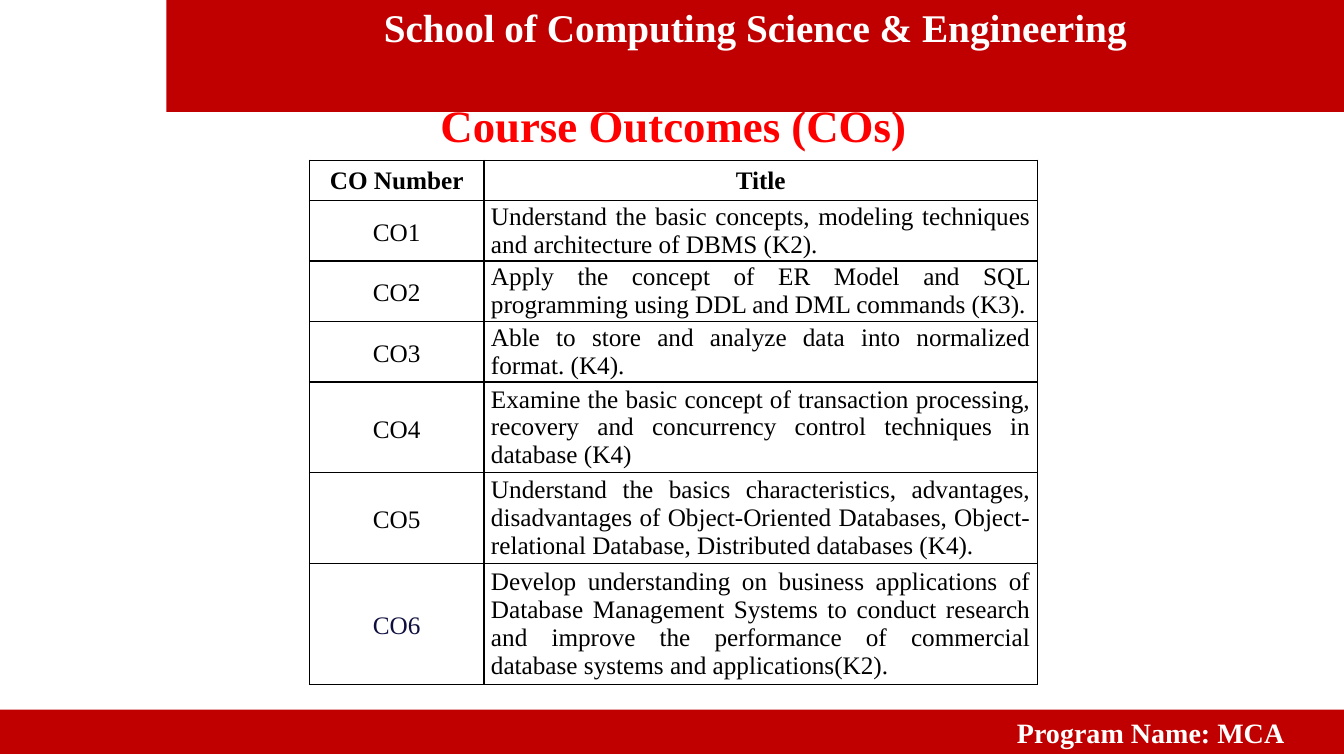
"""Build the Course Outcomes slide with its banner, table and footer."""
from lxml.etree import SubElement
from pptx import Presentation
from pptx.dml.color import RGBColor
from pptx.enum.shapes import MSO_SHAPE
from pptx.enum.text import MSO_ANCHOR, PP_ALIGN
from pptx.oxml.ns import qn
from pptx.util import Inches, Pt

WIDTH, HEIGHT = 13.33, 7.5
LINE_HEIGHT, HEADER_HEIGHT = 0.3, 0.4
COLUMN_WIDTHS = (1.73, 5.49)
BORDER_SIDES = ("a:lnL", "a:lnR", "a:lnT", "a:lnB")

outcomes = [
    ("Understand the basic concepts, modeling techniques and architecture of DBMS (K2).", 2),
    ("Apply the concept of ER Model and SQL programming using DDL and DML commands (K3).", 2),
    ("Able to store and analyze data into normalized format. (K4).", 2),
    ("Examine the basic concept of transaction processing, recovery and concurrency "
     "control techniques in database (K4)", 3),
    ("Understand the basics characteristics, advantages, disadvantages of Object-Oriented "
     "Databases, Object-relational Database, Distributed databases (K4).", 3),
    ("Develop understanding on business applications of Database Management Systems to "
     "conduct research and improve the performance of commercial database systems and "
     "applications(K2).", 4),
]


def color(code):
    """Turn a hex string into a colour."""
    return RGBColor.from_string(code)


def write(frame, text, size, code, bold, align, anchor):
    """Set and format the single paragraph of a text frame."""
    frame.text = text
    frame.word_wrap = True
    frame.vertical_anchor = anchor
    para = frame.paragraphs[0]
    para.alignment = align
    font = para.runs[0].font
    font.name, font.size, font.bold = "Times New Roman", Pt(size), bold
    font.color.rgb = color(code)
    return para


deck = Presentation()
deck.slide_width, deck.slide_height = Inches(WIDTH), Inches(HEIGHT)
page = deck.slides.add_slide(deck.slide_layouts[5])

title = page.shapes.title
title.left, title.top = Inches(2.21), Inches(0.92)
title.width, title.height = Inches(8.94), Inches(0.64)
para = write(title.text_frame, "Course Outcomes (COs)", 32, "FF0000", True,
             PP_ALIGN.CENTER, MSO_ANCHOR.TOP)
para.space_before = Pt(0)

rows = [("CO Number", "Title", HEADER_HEIGHT)]
for number, (outcome, lines) in enumerate(outcomes, 1):
    rows.append((f"CO{number}", outcome, lines * LINE_HEIGHT))
table_height = sum(row[2] for row in rows)
table = page.shapes.add_table(len(rows), 2, Inches(3.07), Inches(1.59),
                              Inches(sum(COLUMN_WIDTHS)), Inches(table_height)).table
table.first_row = table.horz_banding = False
for column, width in zip(table.columns, COLUMN_WIDTHS):
    column.width = Inches(width)

for row_index, (*texts, height) in enumerate(rows):
    table.rows[row_index].height = Inches(height)
    header = row_index == 0
    for column_index, text in enumerate(texts):
        cell = table.cell(row_index, column_index)
        cell.margin_left = cell.margin_right = Inches(0.07)
        cell.margin_top = cell.margin_bottom = 0
        cell.vertical_anchor = MSO_ANCHOR.MIDDLE
        outcome_text = column_index == 1 and not header
        code = "0F0F3F" if text == "CO6" else "000000"
        para = write(cell.text_frame, text, 18, code, header,
                     PP_ALIGN.JUSTIFY if outcome_text else PP_ALIGN.CENTER, MSO_ANCHOR.MIDDLE)
        if column_index == 0 and not header:
            para.line_spacing = 1.15
        properties = cell._tc.get_or_add_tcPr()
        for side in BORDER_SIDES:
            border = SubElement(properties, qn(side), w=str(Pt(1)))
            paint = SubElement(border, qn("a:solidFill"))
            SubElement(paint, qn("a:srgbClr"), val="000000")
        cell.fill.background()

bands = [
    ("School of Computing Science & Engineering", 28, 1.65, -0.02, 1.13, 0.1,
     PP_ALIGN.CENTER, MSO_ANCHOR.TOP),
    ("Program Name: MCA", 20, 0, 7.04, 0.44, 0.59, PP_ALIGN.RIGHT, MSO_ANCHOR.MIDDLE),
]
for text, size, left, top, height, right_inset, align, anchor in bands:
    band = page.shapes.add_shape(MSO_SHAPE.RECTANGLE, Inches(left), Inches(top),
                                 Inches(WIDTH - left), Inches(height))
    band.shadow.inherit = False
    band.fill.solid()
    band.fill.fore_color.rgb = color("C00000")
    band.line.fill.background()
    band.text_frame.margin_right = Inches(right_inset)
    write(band.text_frame, text, size, "FFFFFF", True, align, anchor)

deck.save("out.pptx")
